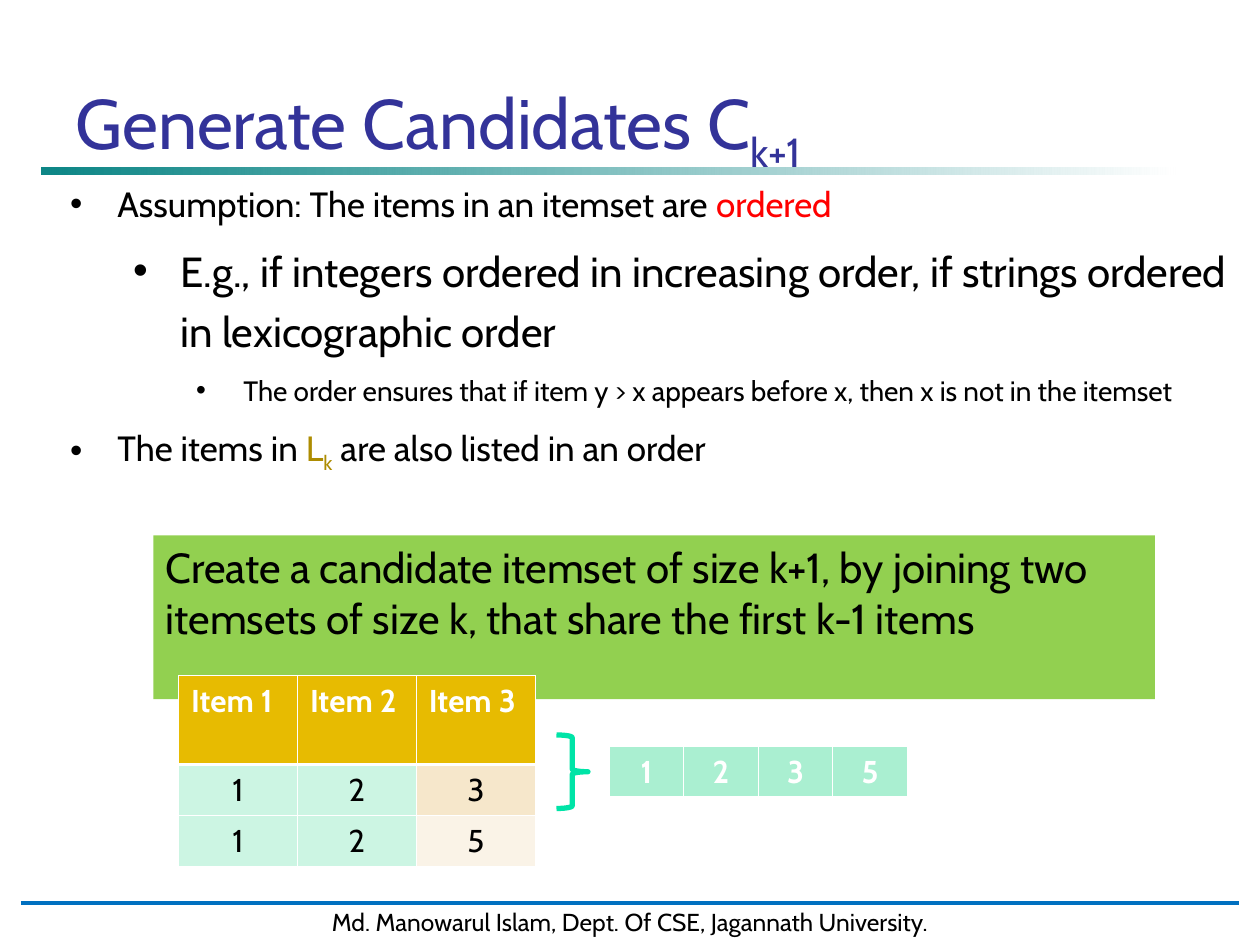
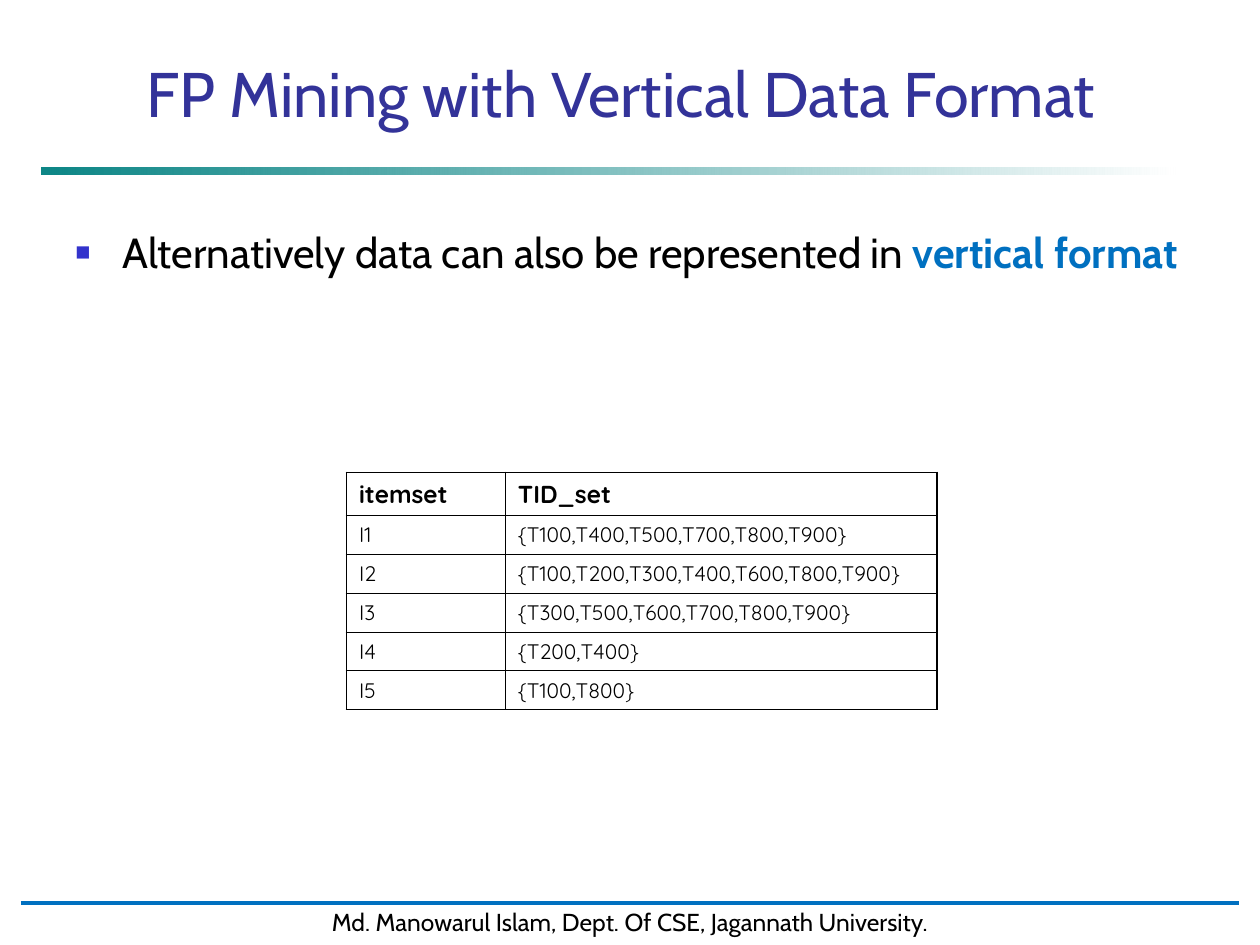
from lxml.etree import SubElement
from pptx import Presentation
from pptx.dml.color import RGBColor
from pptx.enum.shapes import MSO_CONNECTOR, MSO_SHAPE
from pptx.enum.text import MSO_ANCHOR, MSO_AUTO_SIZE, PP_ALIGN
from pptx.oxml.ns import qn
from pptx.util import Pt

FONT = "Cabin"
BLACK, WHITE, NAVY, BLUE, GOLD = "000000", "FFFFFF", "333399", "0070C0", "AD8C01"
TEAL, RED, GREEN, MINT, HEADER = "008080", "FF0000", "92D050", "CCF5E3", "E7BB01"
FOOTER = "Md. Manowarul Islam, Dept. Of CSE, Jagannath University."

JOIN_TITLE = [("Generate Candidates C", {}), ("k+1", {"sub": True})]
ORDER_POINTS = [
    (0, 20, [("Assumption: The items in an itemset are ", {}), ("ordered", {"color": RED})]),
    (1, 24, "E.g., if integers ordered in increasing order, if strings ordered in lexicographic order"),
    (2, 16, "The order ensures that if item y > x appears before x, then x is not in the itemset"),
    (0, 20, [("The items in ", {}), ("L", {"color": GOLD}), ("k", {"color": GOLD, "sub": True}),
             (" are also listed in an order", {})]),
]
JOIN_RULE = ("Create a candidate itemset of size k+1, by joining two itemsets of size k, "
             "that share the first k-1 items")
ITEMSETS = [["Item 1", "Item 2", "Item 3"], ["1", "2", "3"], ["1", "2", "5"]]
ITEMSET_FILLS = [[HEADER] * 3, [MINT, MINT, "F6E7CB"], [MINT, MINT, "FAF3E7"]]
CANDIDATE = [["1", "2", "3", "5"]]

VERTICAL_TITLE = "FP Mining with Vertical Data Format"
VERTICAL_POINT = [("Alternatively data can also be represented in ", {}),
                  ("vertical format", {"color": BLUE, "bold": True})]
TID_SETS = [
    ["itemset", "TID_set"],
    ["I1", "{T100,T400,T500,T700,T800,T900}"],
    ["I2", "{T100,T200,T300,T400,T600,T800,T900}"],
    ["I3", "{T300,T500,T600,T700,T800,T900}"],
    ["I4", "{T200,T400}"],
    ["I5", "{T100,T800}"],
]


def rgb(color):
    """Turn a hex string into a colour."""
    return RGBColor.from_string(color)


def box(x, y, w, h):
    """Convert a rectangle in points to lengths."""
    return Pt(x), Pt(y), Pt(w), Pt(h)


def add_bullet(p, char, color, left, hang, percent=100):
    """Give a paragraph a hanging bullet."""
    pPr = p._p.get_or_add_pPr()
    pPr.set("marL", str(Pt(left)))
    pPr.set("indent", str(-Pt(hang)))
    clr = SubElement(pPr, qn("a:buClr"))
    SubElement(clr, qn("a:srgbClr"), val=color)
    SubElement(pPr, qn("a:buSzPct"), val=str(percent * 1000))
    SubElement(pPr, qn("a:buFont"), typeface="Arial")
    SubElement(pPr, qn("a:buChar"), char=char)


def write(p, text, size=18, color=BLACK, bold=False, font=FONT, align=PP_ALIGN.LEFT):
    """Fill a paragraph with a string or with (text, overrides) runs."""
    p.alignment = align
    for part, extra in [(text, {})] if isinstance(text, str) else text:
        r = p.add_run()
        r.text = part
        r.font.name, r.font.size = font, Pt(size)
        r.font.bold = extra.get("bold", bold)
        r.font.color.rgb = rgb(extra.get("color", color))
        if extra.get("sub"):
            r._r.get_or_add_rPr().set("baseline", "-25000")


def add_box(s, kind, place, fill=None, line=None, width=1):
    """Add a flat preset shape."""
    sp = s.shapes.add_shape(kind, *box(*place))
    sp.shadow.inherit = False
    if fill:
        sp.fill.solid()
        sp.fill.fore_color.rgb = rgb(fill)
    else:
        sp.fill.background()
    if line:
        sp.line.color.rgb = rgb(line)
        sp.line.width = Pt(width)
    else:
        sp.line.fill.background()
    return sp


def add_text_box(s, place):
    """Add a wrapping text box and return its frame."""
    tf = s.shapes.add_textbox(*box(*place)).text_frame
    tf.word_wrap = True
    return tf


def add_slide(prs, title, place, size, align, anchor):
    """Add a slide with its title, gradient rule and footer."""
    s = prs.slides.add_slide(prs.slide_layouts[5])
    rule = add_box(s, MSO_SHAPE.RECTANGLE, (24, 96, 648, 3.8), WHITE)
    rule.fill.gradient()
    rule.fill.gradient_angle = 0
    for stop, color in zip(rule.fill.gradient_stops, (TEAL, WHITE)):
        stop.color.rgb = rgb(color)
    SubElement(rule.element.xpath(".//a:gs[1]/a:srgbClr")[0], qn("a:alpha"), val="95000")

    footer = add_box(s, MSO_SHAPE.RECTANGLE, (12, 514.8, 696, 24), WHITE, WHITE, 2)
    tf = footer.text_frame
    tf.word_wrap = False
    tf.vertical_anchor = MSO_ANCHOR.MIDDLE
    write(tf.paragraphs[0], FOOTER, size=14, align=PP_ALIGN.CENTER)
    line = s.shapes.add_connector(MSO_CONNECTOR.STRAIGHT, Pt(12), Pt(516), Pt(708), Pt(516))
    line.line.color.rgb = rgb(BLUE)
    line.line.width = Pt(1.75)
    SubElement(line.element.spPr, qn("a:effectLst"))

    sp = s.shapes.title
    sp.left, sp.top, sp.width, sp.height = box(*place)
    tf = sp.text_frame
    tf.word_wrap, tf.auto_size, tf.vertical_anchor = True, MSO_AUTO_SIZE.NONE, anchor
    write(tf.paragraphs[0], title, size=size, color=NAVY, align=align)
    sp.element.getparent().append(sp.element)
    return s


def add_borders(cell, color, widths):
    """Draw the left, right, top and bottom borders of a cell."""
    tcPr = cell._tc.get_or_add_tcPr()
    for i, (side, width) in enumerate(zip("LRTB", widths)):
        ln = SubElement(tcPr, qn(f"a:ln{side}"), w=str(Pt(width)))
        fill = SubElement(ln, qn("a:solidFill"))
        SubElement(fill, qn("a:srgbClr"), val=color)
        tcPr.insert(i, ln)


def add_grid(s, x, y, cols, heights, rows, cell_format, fills=None, line=WHITE, widths=None):
    """Add a table; cell_format(row) gives text format, widths(row, col) gives borders."""
    frame = s.shapes.add_table(len(rows), len(cols), *box(x, y, sum(cols), sum(heights)))
    t = frame.table
    t.first_row = t.horz_banding = False
    for col, w in zip(t.columns, cols):
        col.width = Pt(w)
    for row, h in zip(t.rows, heights):
        row.height = Pt(h)
    for i, texts in enumerate(rows):
        for j, text in enumerate(texts):
            cell = t.cell(i, j)
            write(cell.text_frame.paragraphs[0], text, **cell_format(i))
            if fills:
                cell.fill.solid()
                cell.fill.fore_color.rgb = rgb(fills[i][j])
            else:
                cell.fill.background()
            add_borders(cell, line, widths(i, j))


def header_rule(i, j):
    """Thicken the border below the first row."""
    return 0.45, 0.45, 1.47 if i == 1 else 0.45, 1.47 if i == 0 else 0.45


def outer_frame(i, j):
    """Thicken the outside borders of the TID table."""
    ends = j == 0, j == 1, i == 0, i == len(TID_SETS) - 1
    return [1.08 if end else 0.45 for end in ends]


def itemset_format(i):
    """Format the itemset rows below a bold header."""
    if i == 0:
        return {"color": WHITE, "bold": True}
    return {"align": PP_ALIGN.CENTER}


def candidate_format(i):
    """Format the joined candidate."""
    return {"color": WHITE, "bold": True, "align": PP_ALIGN.CENTER}


def tid_format(i):
    """Format the TID rows below a bold header."""
    return {"font": "Quicksand", "size": 12 if i else 14, "bold": i == 0}


def build_join_slide(prs):
    """Build the slide on joining itemsets."""
    s = add_slide(prs, JOIN_TITLE, (36, 42, 648, 78), 40, PP_ALIGN.LEFT, MSO_ANCHOR.TOP)
    tf = add_text_box(s, (33, 96, 675, 192))
    for i, (level, size, text) in enumerate(ORDER_POINTS):
        p = tf.add_paragraph() if i else tf.paragraphs[0]
        p.level = level
        add_bullet(p, "•", BLACK, 27 + 36 * level, 27)
        p.line_spacing = 1.2
        p.space_before = Pt(6 if i else 0)
        write(p, text, size=size)

    tf = add_box(s, MSO_SHAPE.RECTANGLE, (87.6, 306, 572.4, 93.6), GREEN).text_frame
    tf.word_wrap, tf.vertical_anchor = True, MSO_ANCHOR.TOP
    write(tf.paragraphs[0], JOIN_RULE, size=24)

    add_grid(s, 102, 386, [68] * 3, [50.8, 29.2, 29.2], ITEMSETS, itemset_format,
             ITEMSET_FILLS, widths=header_rule)
    add_box(s, MSO_SHAPE.RIGHT_BRACE, (318, 420, 18, 42), line="00E4A7", width=3)
    add_grid(s, 348, 426.5, [42.65] * 4, [29.2], CANDIDATE, candidate_format,
             [["AAEFD1"] * 4], widths=header_rule)


def build_vertical_slide(prs):
    """Build the slide on the vertical data format."""
    s = add_slide(prs, VERTICAL_TITLE, (48, 30, 613.5, 48), 36, PP_ALIGN.CENTER, MSO_ANCHOR.BOTTOM)
    p = add_text_box(s, (36, 126, 648, 72)).paragraphs[0]
    add_bullet(p, "■", "3333CC", 27, 27, 60)
    write(p, VERTICAL_POINT, size=24, align=PP_ALIGN.JUSTIFY)
    add_grid(s, 198, 270, [90.8, 246.8], [24.5] + [22.2] * 5, TID_SETS, tid_format,
             line=BLACK, widths=outer_frame)


def main():
    """Build and save the slides."""
    prs = Presentation()
    prs.slide_width, prs.slide_height = Pt(720), Pt(540)
    build_join_slide(prs)
    build_vertical_slide(prs)
    prs.save("out.pptx")


if __name__ == "__main__":
    main()
